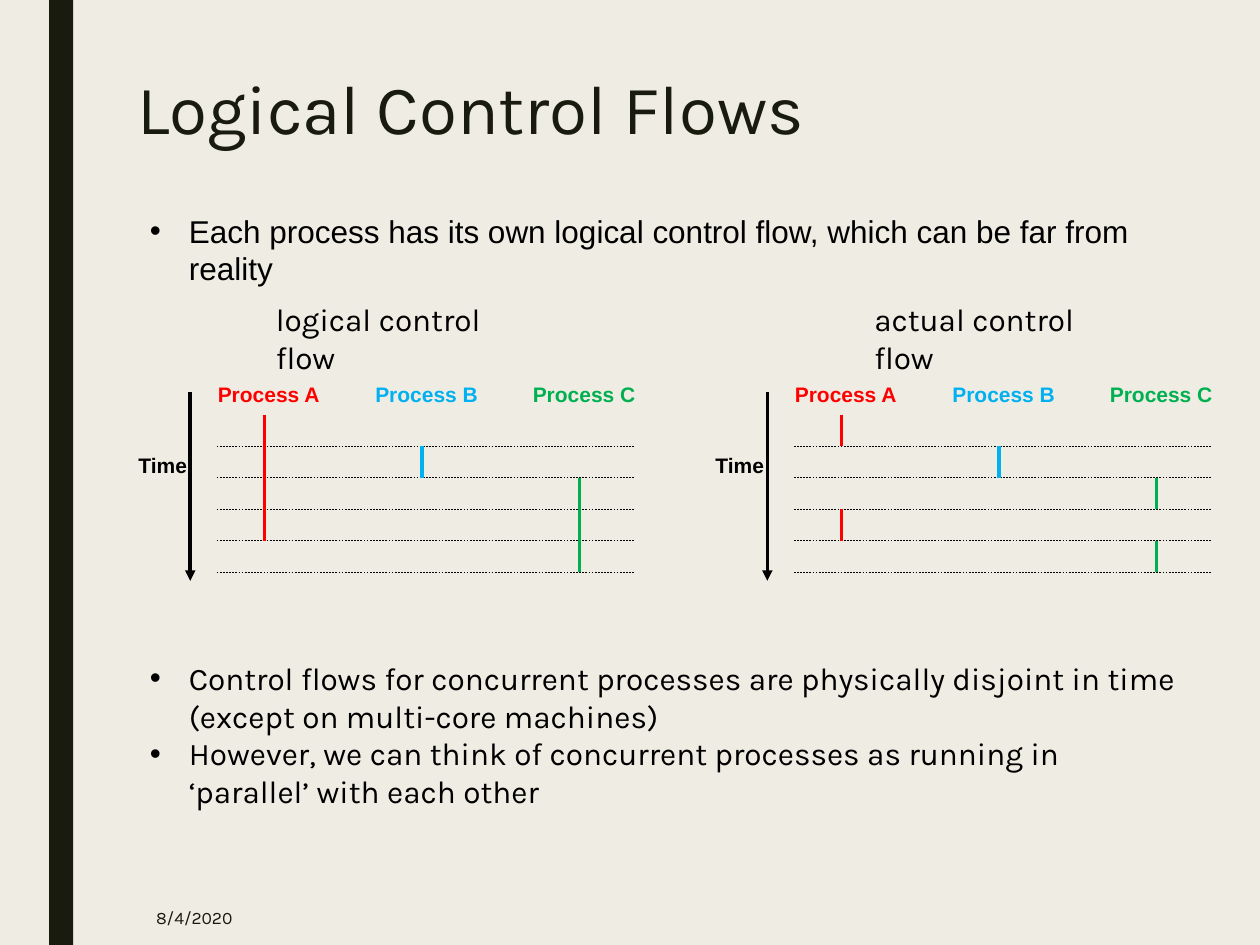
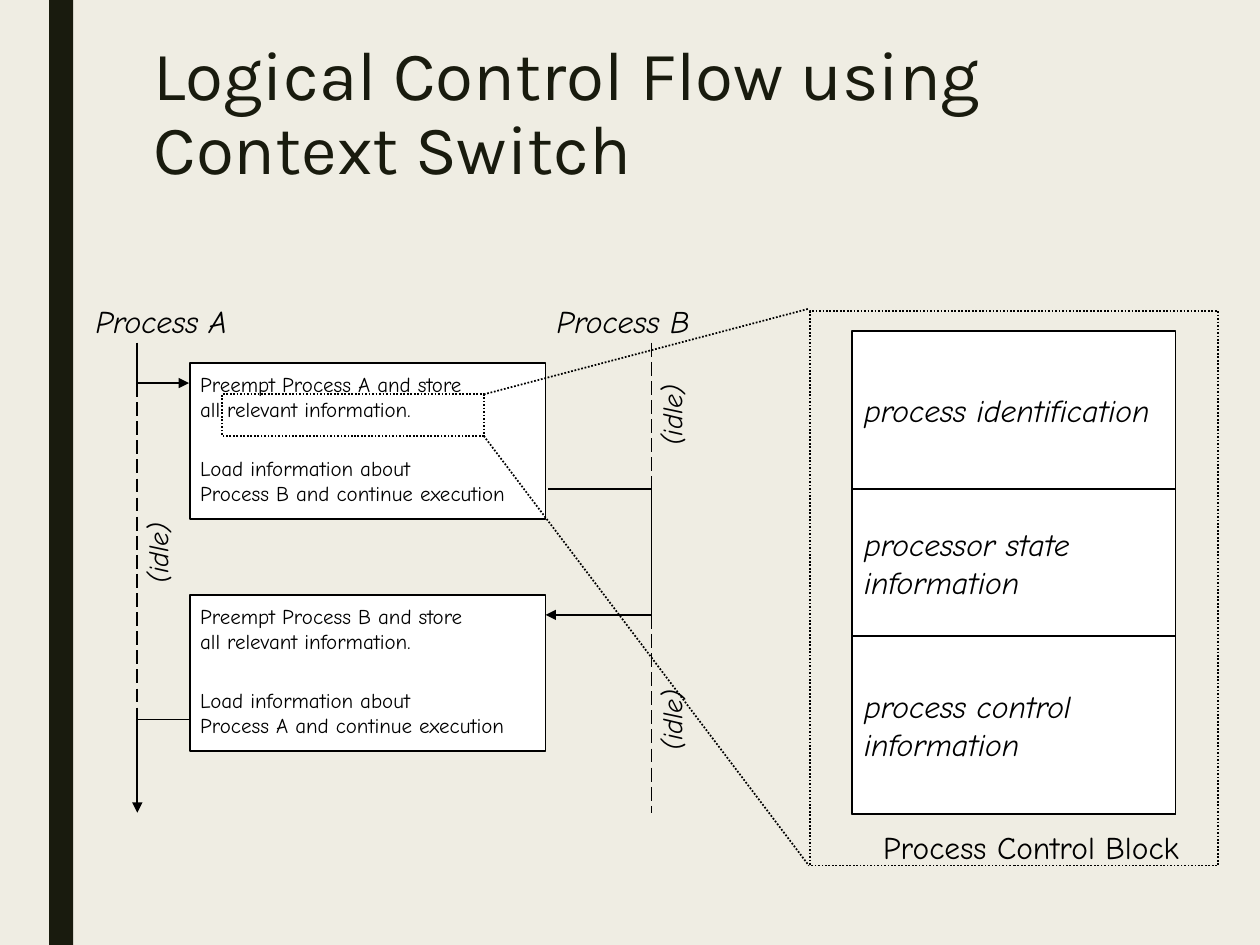
from lxml.etree import SubElement
from pptx import Presentation
from pptx.dml.color import RGBColor
from pptx.enum.dml import MSO_LINE as Dash
from pptx.enum.shapes import MSO_CONNECTOR as Connector, MSO_SHAPE as Shape
from pptx.enum.text import MSO_ANCHOR as Anchor, MSO_AUTO_SIZE as AutoSize, PP_ALIGN as Align
from pptx.oxml.ns import qn
from pptx.util import Inches, Pt

COLORS = {
    "background": "EFEDE3", "dark": "191B0E", "black": "000000", "white": "FFFFFF",
    "red": "FF0000", "blue": "00B0F0", "green": "00B050",
}
HEADING, LABEL, HAND = "Karla", "Arial", "Comic Neue"

presentation = Presentation()
presentation.slide_width, presentation.slide_height = Inches(10), Inches(7.5)
# All places are given on a grid of 100 columns by 75 rows of square cells.
CELL = presentation.slide_width / 100


def add_box(slide, box, lines=(), font=HAND, size=18, color="black", bold=False, italic=False,
            wrap=False, bullet=False, spacing=None, anchor=Anchor.TOP, fill=None, line=None, dash=None):
    """Add a text box, or a rectangle when it has a fill or a line; return it."""
    place = [round(value * CELL) for value in box]
    if fill or line:
        shape = slide.shapes.add_shape(Shape.RECTANGLE, *place)
        shape.shadow.inherit = False
        if fill:
            shape.fill.solid()
            shape.fill.fore_color.rgb = RGBColor.from_string(COLORS[fill])
        else:
            shape.fill.background()
        if line:
            shape.line.color.rgb = RGBColor.from_string(COLORS[line])
            shape.line.width = Pt(1)
            shape.line.dash_style = dash
        else:
            shape.line.fill.background()
    else:
        shape = slide.shapes.add_textbox(*place)
    frame = shape.text_frame
    frame.word_wrap = wrap
    frame.vertical_anchor = anchor
    if not wrap and lines:
        frame.auto_size = AutoSize.SHAPE_TO_FIT_TEXT
    for number, text in enumerate(lines):
        paragraph = frame.add_paragraph() if number else frame.paragraphs[0]
        paragraph.text = text
        paragraph.alignment = Align.LEFT
        if spacing:
            paragraph.line_spacing = spacing
        if bullet:
            properties = paragraph._p.get_or_add_pPr()
            properties.set("marL", str(Inches(0.31)))
            properties.set("indent", str(-Inches(0.31)))
            SubElement(properties, qn("a:buFont"), typeface="Arial")
            SubElement(properties, qn("a:buChar"), char="•")
        paragraph.font.name, paragraph.font.size = font, Pt(size)
        paragraph.font.bold, paragraph.font.italic = bold, italic
        paragraph.font.color.rgb = RGBColor.from_string(COLORS[color])
    return shape


def add_line(slide, start, end, color="black", width=1, dash=None, arrow=False):
    """Add a straight line between two grid points, with an arrowhead at its end on request."""
    ends = [round(value * CELL) for value in (*start, *end)]
    connector = slide.shapes.add_connector(Connector.STRAIGHT, *ends)
    connector.line.color.rgb = RGBColor.from_string(COLORS[color])
    connector.line.width = Pt(width)
    connector.line.dash_style = dash
    if arrow:
        SubElement(connector.line._get_or_add_ln(), qn("a:tailEnd"), type="triangle")
    SubElement(connector._element.spPr, qn("a:effectLst"))


# Shared background, side band and title style
background = presentation.slide_master.background.fill
background.solid()
background.fore_color.rgb = RGBColor.from_string(COLORS["background"])
titles = [
    ("Logical Control Flows", (9.9, 5.5, 56, 7.3)),
    ("Logical Control Flow using Context Switch", (11.2, 2.8, 78.8, 9.8)),
]
slides = []
for title, box in titles:
    slide = presentation.slides.add_slide(presentation.slide_layouts[6])
    add_box(slide, (3.9, 0, 1.9, 75), fill="dark")
    add_box(slide, box, [title], HEADING, 39.6, "dark", wrap=True, spacing=0.89)
    slides.append(slide)
flows_slide, switch_slide = slides

# Slide 1: logical and actual control flows
add_box(flows_slide, (10.9, 16.3, 84.9, 10.1),
        ["Each process has its own logical control flow, which can be far from reality"],
        LABEL, wrap=True, bullet=True)
add_box(flows_slide, (10.9, 51.8, 84.1, 13.1),
        ["Control flows for concurrent processes are physically disjoint in time "
         "(except on multi-core machines)",
         "However, we can think of concurrent processes as running in ‘parallel’ with each other"],
        HEADING, wrap=True, bullet=True)
add_box(flows_slide, (11.4, 70.6, 9.9, 4.4), ["8/4/2020"], HEADING, 10, "dark",
        wrap=True, anchor=Anchor.MIDDLE)

STEP, LANE, FIRST_STEP = 2.5, 12.5, 32.9
processes = [("Process A", "red"), ("Process B", "blue"), ("Process C", "green")]
# Per diagram: left edge, caption, caption left, and the active (first, last) steps of each process
diagrams = [
    (10, "logical control flow", 20.9, [[(0, 4)], [(1, 2)], [(2, 5)]]),
    (55.8, "actual control flow", 68.4, [[(0, 1), (3, 4)], [(1, 2)], [(2, 3), (4, 5)]]),
]
for left, caption, caption_left, activity in diagrams:
    add_box(flows_slide, (caption_left, 23.3, 21.5, 4), [caption], HEADING, wrap=True)
    add_line(flows_slide, (left + 5.1, 31.1), (left + 5.1, 46.1), width=2, arrow=True)
    add_box(flows_slide, (left, 35.4, 5.9, 3), ["Time"], LABEL, 12, bold=True)
    for step in range(1, 6):
        y = FIRST_STEP + step * STEP
        add_line(flows_slide, (left + 7.2, y), (left + 40.3, y), width=0.25, dash=Dash.DASH)
    for lane, ((name, color), periods) in enumerate(zip(processes, activity)):
        x = left + 6.3 + lane * LANE
        add_box(flows_slide, (x, 29.8, 10.2, 3), [name], LABEL, 12, color, bold=True)
        for first, last in periods:
            add_line(flows_slide, (x + 4.7, FIRST_STEP + first * STEP),
                     (x + 4.7, FIRST_STEP + last * STEP), color, 2)

# Slide 2: the two context switches
for top, stopped, resumed in [(28.8, "A", "B"), (47.2, "B", "A")]:
    add_box(switch_slide, (15.1, top, 28.2, 12.4), fill="white", line="black")
    add_box(switch_slide, (14.9, top + 0.2, 24, 5),
            [f"Preempt Process {stopped} and store", "all relevant information."], size=12)
    add_box(switch_slide, (14.9, top + 6.85, 27.2, 5),
            ["Load information about", f"Process {resumed} and continue execution"], size=12)

# Timelines: solid while a process runs, dashed while it is idle
A, B, TOP, BOTTOM = 10.9, 51.7, 27.2, 64.5
A_STOPS, B_STARTS, B_STOPS, A_STARTS = 30.4, 38.8, 48.8, 57.1
for x, start, end in [(A, A_STOPS, A_STARTS), (B, TOP, B_STARTS), (B, B_STOPS, BOTTOM)]:
    add_line(switch_slide, (x, start), (x, end), dash=Dash.LONG_DASH)
for start, end, arrow in [
    ((A, TOP), (A, A_STOPS), False),
    ((A, A_STOPS), (15, A_STOPS), True),
    ((43.5, B_STARTS), (B, B_STARTS), False),
    ((B, B_STARTS), (B, 49.5), False),
    ((B, B_STOPS), (43.3, B_STOPS), True),
    ((15.1, A_STARTS), (A, A_STARTS), False),
    ((A, A_STARTS), (A, BOTTOM), True),
]:
    add_line(switch_slide, start, end, arrow=arrow)
for left, name in [(6.6, "Process A"), (43.2, "Process B")]:
    add_box(switch_slide, (left, 23.5, 12.9, 4), [name], italic=True)
for left, top in [(9, 42), (49.8, 31.1), (49.8, 55.3)]:
    idle = add_box(switch_slide, (left, top, 6.9, 3.6), ["(idle)"], size=16, italic=True)
    idle.rotation = 270

# Process control block: stacked parts inside one frame
BLOCK_LEFT, BLOCK_TOP, BLOCK_WIDTH = 67.6, 26.3, 25.7
parts = [
    (12.5, ["process identification"]),
    (11.7, ["processor state", "information"]),
    (14.1, ["process control", "information"]),
]
block_height = sum(height for height, _ in parts)
add_box(switch_slide, (BLOCK_LEFT, BLOCK_TOP, BLOCK_WIDTH, block_height), fill="white", line="black")
top = BLOCK_TOP
for height, lines in parts:
    add_box(switch_slide, (BLOCK_LEFT, top, BLOCK_WIDTH, height), lines, italic=True, wrap=True,
            anchor=Anchor.MIDDLE, fill="white", line="black")
    top += height
add_box(switch_slide, (69.1, 65.2, 26.5, 4), ["Process Control Block"])

# Dotted zoom from the stored information to the block
for box in [(17.6, 31.3, 20.8, 3.3), (64.3, 24.7, 32.4, 44)]:
    add_box(switch_slide, box, line="black", dash=Dash.ROUND_DOT)
for start, end in [((38.4, 31.3), (64.2, 24.5)), ((38.4, 34.6), (64.2, 68.7))]:
    add_line(switch_slide, start, end, dash=Dash.ROUND_DOT)

presentation.save("out.pptx")
